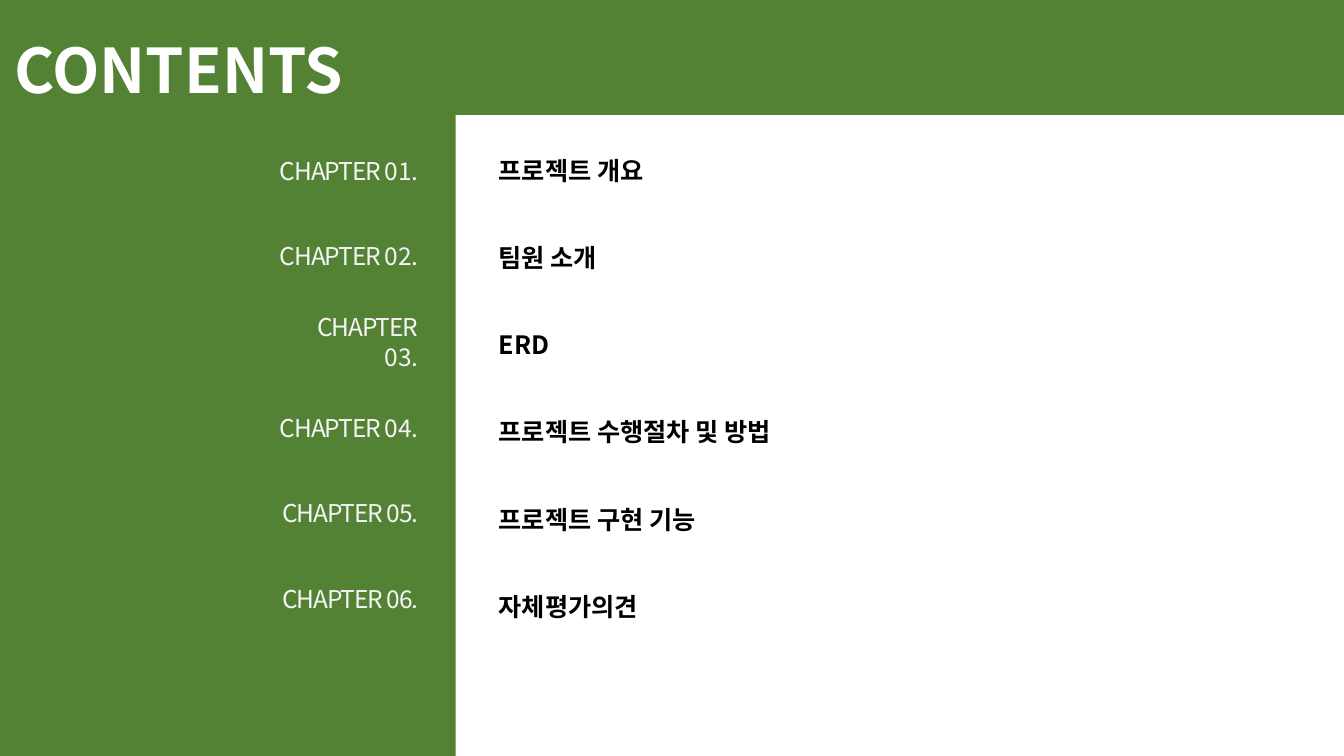
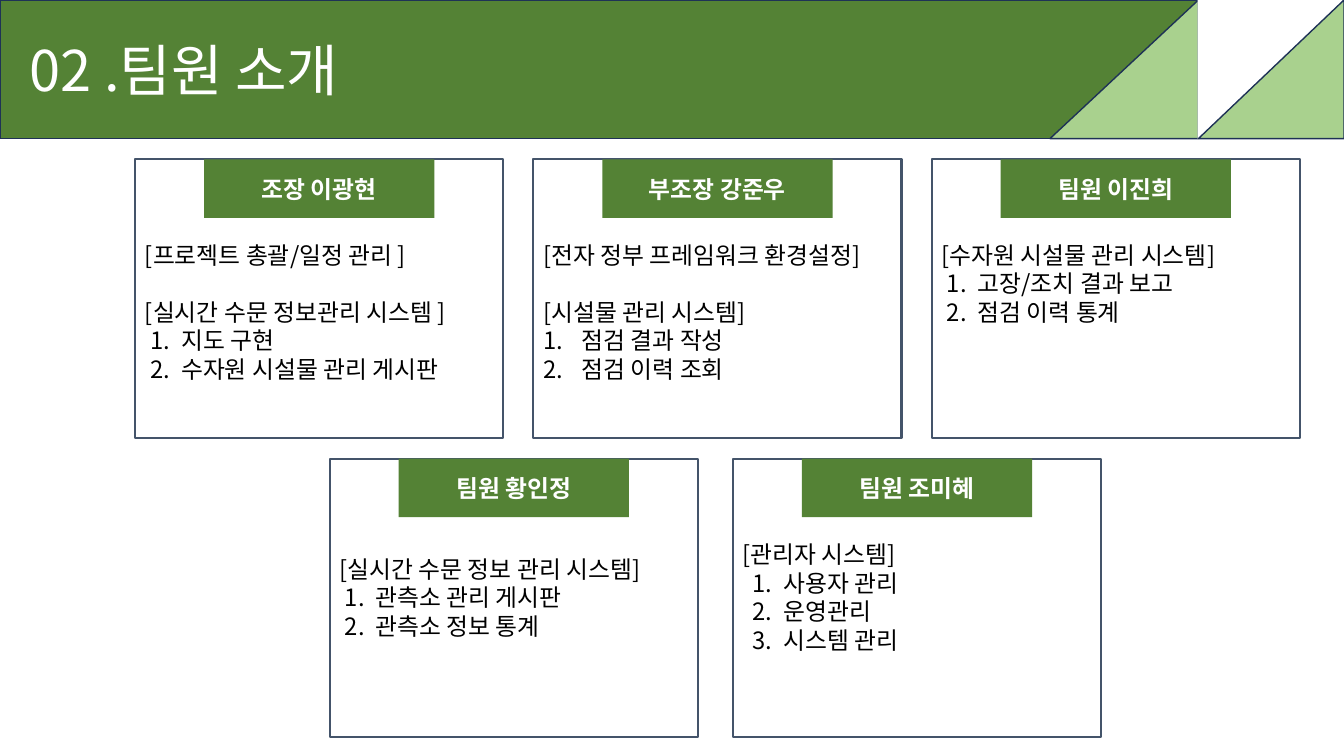
from dataclasses import dataclass

from lxml.etree import SubElement
from pptx import Presentation
from pptx.dml.color import RGBColor
from pptx.enum.shapes import MSO_SHAPE
from pptx.enum.text import MSO_ANCHOR, MSO_AUTO_SIZE, PP_ALIGN
from pptx.oxml.ns import qn
from pptx.util import Pt


@dataclass(frozen=True)
class Theme:
    font: str = "Noto Sans CJK KR"
    green: str = "548235"
    light: str = "A9D18E"
    white: str = "FFFFFF"
    pale: str = "F5F5F7"
    black: str = "000000"
    navy: str = "1E3256"
    slate: str = "44546A"
    cover: float = 44
    head: float = 40
    topic: float = 18
    label: float = 17.5
    text: float = 17
    row: float = 20.4


WIDE, HIGH = 960, 540
MID, TOP = MSO_ANCHOR.MIDDLE, MSO_ANCHOR.TOP
LEFT, RIGHT, CENTER = PP_ALIGN.LEFT, PP_ALIGN.RIGHT, PP_ALIGN.CENTER


def apply(item, **values):
    """Set each named value as an attribute of item."""
    for name, value in values.items():
        setattr(item, name, value)


class Deck:
    def __init__(self, theme):
        self.theme = theme
        self.file = Presentation()
        apply(self.file, slide_width=Pt(WIDE), slide_height=Pt(HIGH))
        self.page = None

    def start(self, layout):
        self.page = self.file.slides.add_slide(self.file.slide_layouts[layout])

    def style(self, run, size, color, bold=False, track=0):
        """Format a run; track is letter spacing in points."""
        apply(run.font, name=self.theme.font, size=Pt(size), bold=bold)
        run.font.color.rgb = RGBColor.from_string(color)
        props = run.font._element
        SubElement(props, qn("a:ea")).set("typeface", self.theme.font)
        if track:
            props.set("spc", str(round(track * 100)))

    def frame(self, shape, anchor=MID, **more):
        apply(shape.text_frame, word_wrap=True, auto_size=MSO_AUTO_SIZE.NONE,
              vertical_anchor=anchor, **more)
        return shape.text_frame

    def line(self, frame, text, align=LEFT, before=0, number=None, **look):
        """Add a paragraph; number gives its lead and hanging indent."""
        first = frame.paragraphs[0]
        para = first if not first.runs else frame.add_paragraph()
        apply(para, alignment=align, space_before=Pt(before))
        props = para._p.get_or_add_pPr()
        lead, hang = number or (0, 0)
        props.set("marL", str(Pt(lead + hang)))
        props.set("indent", str(-Pt(hang)))
        if number:
            SubElement(props, qn("a:buFont")).set("typeface", self.theme.font)
            SubElement(props, qn("a:buAutoNum")).set("type", "arabicPeriod")
        else:
            SubElement(props, qn("a:buNone"))
        run = para.add_run()
        run.text = text
        self.style(run, **look)
        return para

    def block(self, x, y, w, h, fill, edge=None, width=1, kind=MSO_SHAPE.RECTANGLE):
        shape = self.page.shapes.add_shape(kind, Pt(x), Pt(y), Pt(w), Pt(h))
        shape.shadow.inherit = False
        shape.fill.solid()
        shape.fill.fore_color.rgb = RGBColor.from_string(fill)
        if edge:
            shape.line.color.rgb = RGBColor.from_string(edge)
            shape.line.width = Pt(width)
        else:
            shape.line.fill.background()
        return shape

    def corner(self, x, w, h, fill, edge, turn):
        """Draw a right triangle that fills w by h after a quarter turn."""
        shape = self.block(x + (w - h) / 2, (h - w) / 2, h, w, fill, edge,
                           kind=MSO_SHAPE.RIGHT_TRIANGLE)
        shape.rotation = turn

    def title(self, text, x, size, bold=False):
        shape = self.page.shapes.title
        apply(shape, left=Pt(x), top=Pt(22), width=Pt(600), height=Pt(55))
        self.page.shapes._spTree.append(shape._element)
        self.line(self.frame(shape), text, size=size, color=self.theme.white, bold=bold)

    def topics(self, names, x, y, pitch):
        theme, height = self.theme, 21.5
        shape = self.page.placeholders[1]
        apply(shape, left=Pt(x), top=Pt(y), width=Pt(400), height=Pt(pitch * len(names)))
        frame = self.frame(shape, TOP)
        for i, name in enumerate(names):
            para = self.line(frame, name, before=pitch - height if i else 0,
                             size=theme.topic, color=theme.black, bold=True)
            para.line_spacing = Pt(height)

    def chapter(self, number, y):
        theme = self.theme
        box = self.page.shapes.add_textbox(Pt(180), Pt(y), Pt(126), Pt(28.8))
        gap = "\v" if number == 3 else " "
        look = dict(size=theme.label, color=theme.pale)
        para = self.line(self.frame(box), "CHAPTER", RIGHT, track=-0.8, **look)
        if gap == "\v":
            para.add_line_break()
            gap = ""
        loose = 0 if number < 5 else -0.8
        for text, track in ((gap + "0", -0.8), (str(number), loose), (".", -0.8)):
            run = para.add_run()
            run.text = text
            self.style(run, track=track, **look)

    def card(self, x, y, name, groups, inset=58, number=(3.8, 22)):
        """Draw a member card; groups pair a heading with numbered tasks."""
        theme, wide, tab = self.theme, 263, 164.5
        body = self.block(x, y, wide, 199, theme.white, theme.slate, 1.5)
        frame = self.frame(body, TOP, margin_top=Pt(inset))
        look = dict(size=theme.text, color=theme.black)
        for i, (head, tasks) in enumerate(groups):
            self.line(frame, head, before=theme.row if i else 0, **look)
            for task in tasks:
                self.line(frame, task, number=number, **look)
        label = self.block(x + (wide - tab) / 2, y, tab, 41.8, theme.green)
        self.line(self.frame(label), name, CENTER, size=theme.text,
                  color=theme.white, bold=True)


def contents(deck):
    theme, band = deck.theme, 82
    deck.start(1)
    deck.block(0, 0, WIDE, band, theme.green)
    deck.block(0, band, 325.5, HIGH - band, theme.green)
    deck.title("CONTENTS", 3, theme.cover, bold=True)
    names = ["프로젝트 개요", "팀원 소개", "ERD", "프로젝트 수행절차 및 방법",
             "프로젝트 구현 기능", "자체평가의견"]
    deck.topics(names, 349, 107.3, 62.28)
    for i in range(len(names)):
        deck.chapter(i + 1, 107.3 + 61.2 * i)


def team(deck):
    theme, band = deck.theme, 99
    deck.start(5)
    deck.block(0, 0, WIDE, band, theme.green, theme.navy)
    deck.corner(750, 106, band, theme.light, theme.navy, 270)
    deck.corner(856, 104, band, theme.white, theme.white, 90)
    deck.corner(856, 104, band, theme.light, theme.navy, 270)
    deck.title("02 .팀원 소개", 14, theme.head)
    upper = [
        ("조장 이광현", [
            ("[프로젝트 총괄/일정 관리 ]", []),
            ("[실시간 수문 정보관리 시스템 ]", ["지도 구현", "수자원 시설물 관리 게시판"]),
        ], {}),
        ("부조장 강준우", [
            ("[전자 정부 프레임워크 환경설정]", []),
            ("[시설물 관리 시스템]", ["점검 결과 작성", "점검 이력 조회"]),
        ], {"number": (0, 27.4)}),
        ("팀원 이진희", [
            ("[수자원 시설물 관리 시스템]", ["고장/조치 결과 보고", "점검 이력 통계"]),
        ], {}),
    ]
    lower = [
        ("팀원 황인정", [
            ("[실시간 수문 정보 관리 시스템]", ["관측소 관리 게시판", "관측소 정보 통계"]),
        ], {"inset": 68.5}),
        ("팀원 조미혜", [
            ("[관리자 시스템]", ["사용자 관리", "운영관리", "시스템 관리"]),
        ], {"number": (7, 22)}),
    ]
    for cards, x, y, step in ((upper, 96.5, 113.8, 284.5), (lower, 235.5, 327.6, 288)):
        for i, (name, groups, more) in enumerate(cards):
            deck.card(x + step * i, y, name, groups, **more)


def main():
    deck = Deck(Theme())
    contents(deck)
    team(deck)
    deck.file.save("out.pptx")


if __name__ == "__main__":
    main()
